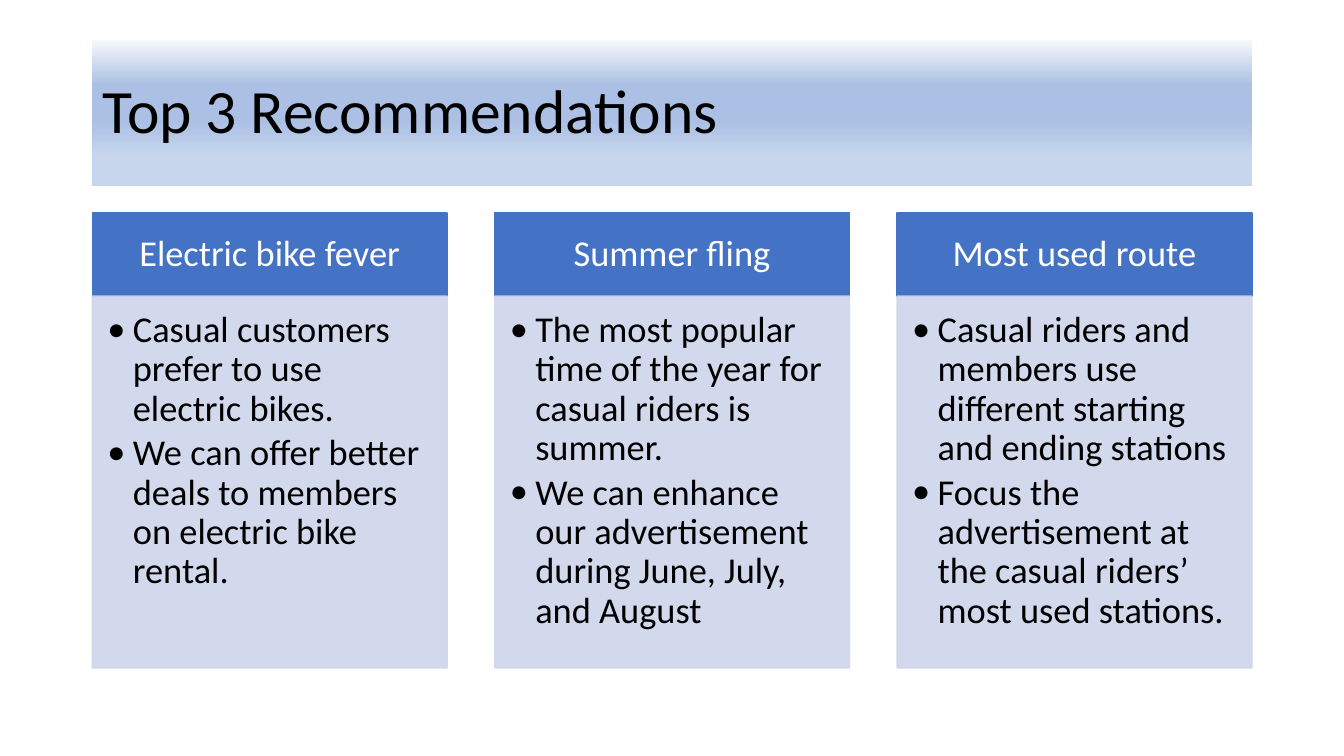
"""Build the slide with three recommendation cards."""
from lxml.etree import SubElement
from pptx import Presentation
from pptx.dml.color import RGBColor
from pptx.enum.shapes import MSO_SHAPE as Shape
from pptx.enum.text import MSO_ANCHOR as Anchor, MSO_AUTO_SIZE as Auto, PP_ALIGN as Align
from pptx.oxml.ns import qn
from pptx.util import Cm, Pt

FONT = "Calibri"
BLUE, PALE, BLACK, WHITE = "4472C4", "CFD5EA", "000000", "FFFFFF"
BANDS = [(0, "F6F8FC"), (31, "ABC0E4"), (56, "ABC0E4"), (79, "C7D5ED")]
LEFT, WIDTH = 2.33, 29.22
CARD = 8.94
HEAD_TOP, HEAD_HIGH, LIST_HIGH = 5.37, 2.09, 9.37
CARDS = [
    ("Electric bike fever", [
        "Casual customers prefer to use electric bikes.",
        "We can offer better deals to members on electric bike rental."]),
    ("Summer fling", [
        "The most popular time of the year for casual riders is summer.",
        "We can enhance our advertisement during June, July, and August"]),
    ("Most used route", [
        "Casual riders and members use different starting and ending stations",
        "Focus the advertisement at the casual riders’ most used stations."]),
]


def tint(color, code):
    color.rgb = RGBColor.from_string(code)


class Deck:
    def __init__(self, font):
        self.font = font
        self.prs = Presentation()
        self.prs.slide_width, self.prs.slide_height = Cm(33.87), Cm(19.05)
        self.slide = self.prs.slides.add_slide(self.prs.slide_layouts[5])

    def add_text(self, para, text, size, code, align=Align.LEFT):
        para.alignment, para.line_spacing = align, 0.9
        run = para.add_run()
        run.text = text
        run.font.name, run.font.size = self.font, Pt(size)
        tint(run.font.color, code)

    def add_title(self, text, box, bands):
        item = self.slide.shapes.title
        item.left, item.top, item.width, item.height = map(Cm, box)
        item.fill.gradient()
        item.fill.gradient_angle = 270
        stops = item._element.spPr.find(".//" + qn("a:gsLst"))
        stops.clear()
        for spot, code in bands:
            stop = SubElement(stops, qn("a:gs"), pos=str(spot * 1000))
            SubElement(stop, qn("a:srgbClr"), val=code)
        frame = item.text_frame
        frame.auto_size, frame.vertical_anchor = Auto.NONE, Anchor.MIDDLE
        self.add_text(frame.paragraphs[0], text, 44, BLACK)

    def add_panel(self, box, code, pads, anchor, alpha=100):
        item = self.slide.shapes.add_shape(Shape.RECTANGLE, *map(Cm, box))
        item.shadow.inherit = False
        item.fill.solid()
        tint(item.fill.fore_color, code)
        tint(item.line.color, code)
        item.line.width = Pt(1)
        if alpha < 100:
            for color in item._element.spPr.iter(qn("a:srgbClr")):
                SubElement(color, qn("a:alpha"), val=str(alpha * 1000))
        frame = item.text_frame
        frame.word_wrap, frame.vertical_anchor = True, anchor
        (frame.margin_left, frame.margin_top,
         frame.margin_right, frame.margin_bottom) = map(Cm, pads)
        return frame

    def add_head(self, text, box):
        frame = self.add_panel(box, BLUE, (0.5, 0.3, 0.5, 0.3), Anchor.MIDDLE)
        self.add_text(frame.paragraphs[0], text, 26, WHITE, Align.CENTER)

    def add_list(self, lines, box):
        frame = self.add_panel(box, PALE, (0.38, 0.38, 0.5, 0.58), Anchor.TOP, 90)
        for i, line in enumerate(lines):
            para = frame.add_paragraph() if i else frame.paragraphs[0]
            self.add_text(para, line, 26, BLACK)
            para.space_after = Pt(4)
            props = para._p.get_or_add_pPr()
            props.set("marL", str(int(Cm(0.64))))
            props.set("indent", str(int(-Cm(0.64))))
            SubElement(props, qn("a:buFont"), typeface=self.font)
            SubElement(props, qn("a:buChar"), char="•")


deck = Deck(FONT)
deck.add_title("Top 3 Recommendations", (LEFT, 1.01, WIDTH, 3.68), BANDS)
step = (WIDTH - CARD) / (len(CARDS) - 1)
for i, (name, lines) in enumerate(CARDS):
    x = LEFT + i * step
    deck.add_head(name, (x, HEAD_TOP, CARD, HEAD_HIGH))
    deck.add_list(lines, (x, HEAD_TOP + HEAD_HIGH, CARD, LIST_HIGH))
deck.prs.save("out.pptx")
